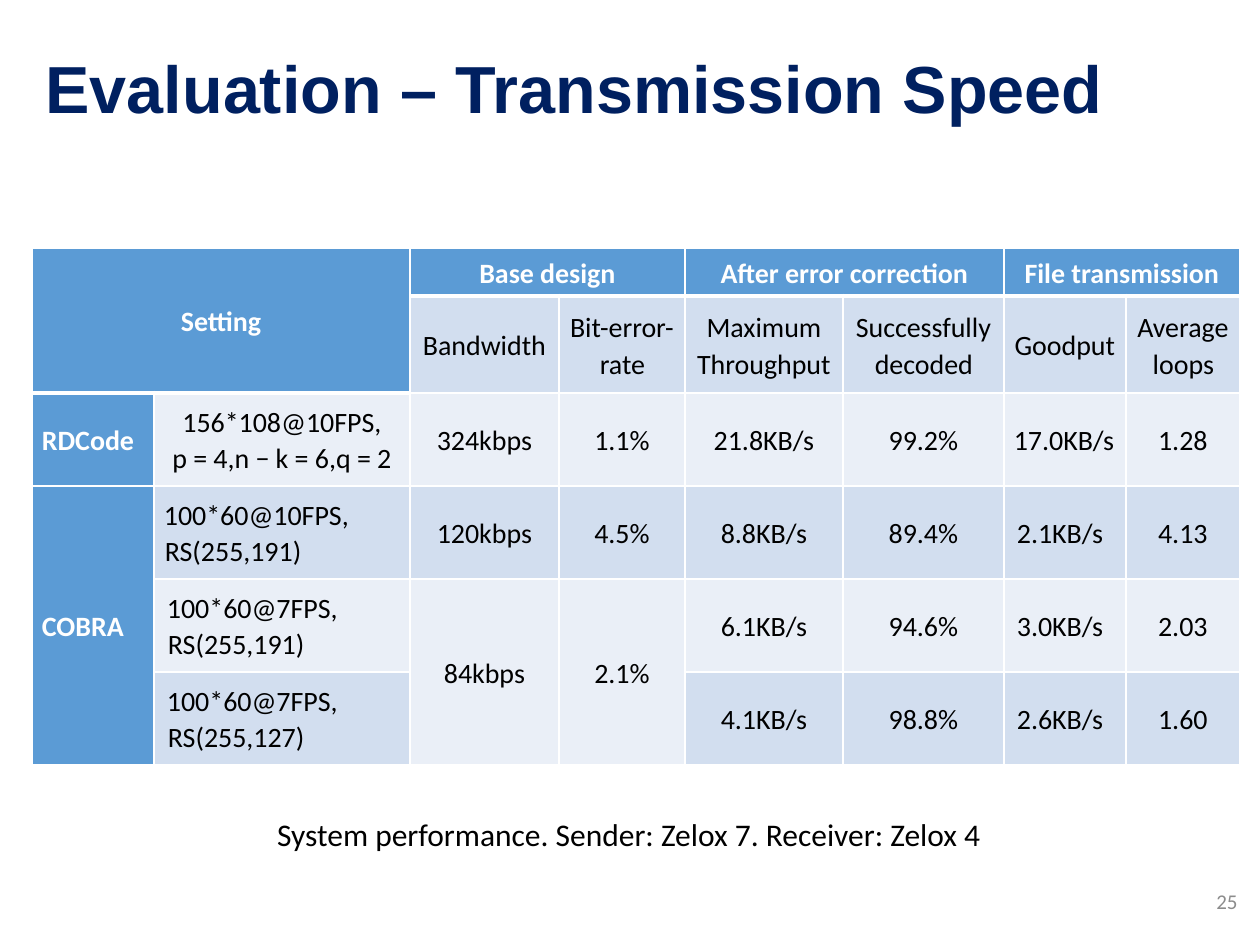
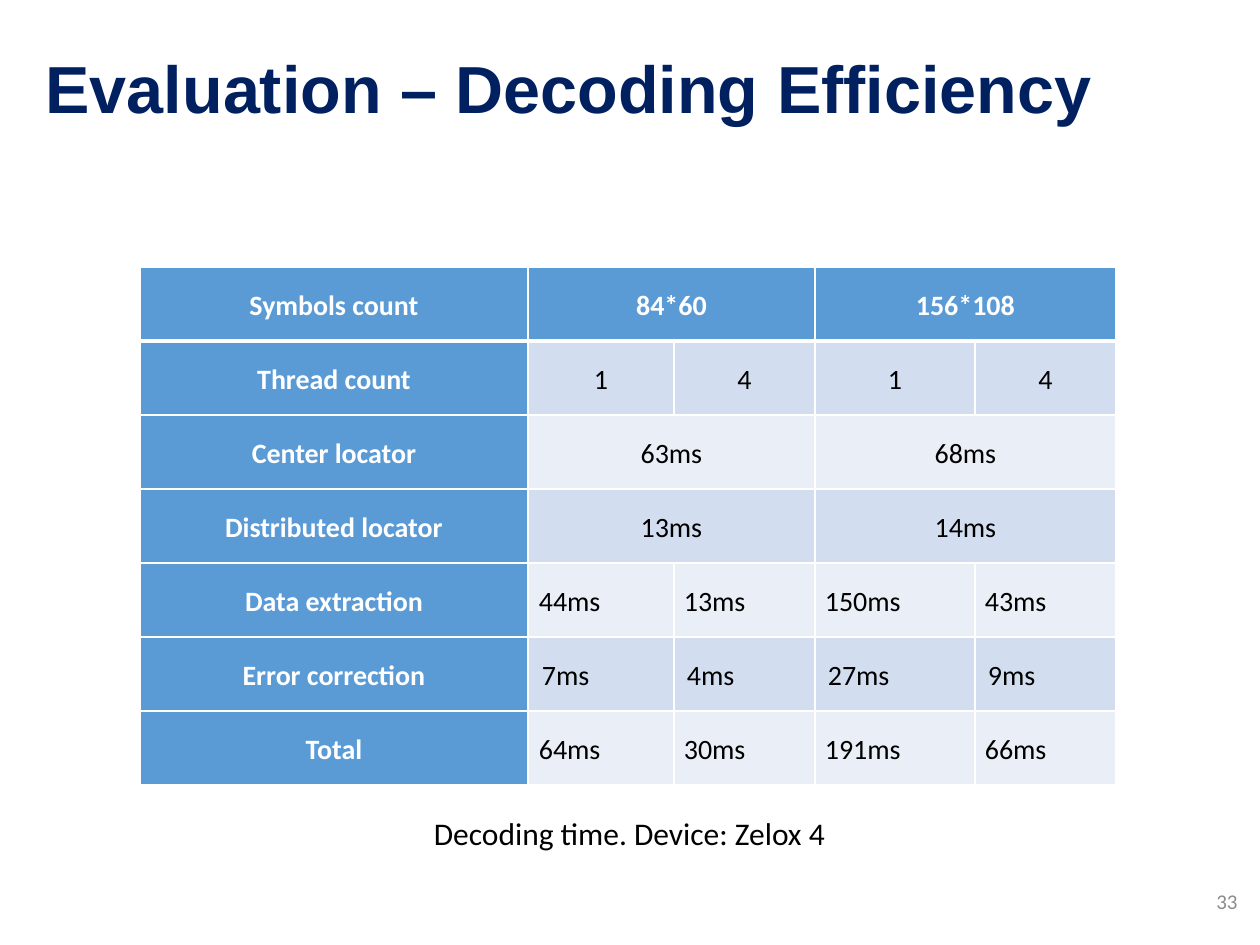
from lxml import etree
from pptx import Presentation
from pptx.dml.color import RGBColor
from pptx.enum.text import MSO_ANCHOR, PP_ALIGN
from pptx.oxml.ns import qn
from pptx.util import Emu, Pt

PX = 914400 / 126
LEFT, CENTER, RIGHT = PP_ALIGN.LEFT, PP_ALIGN.CENTER, PP_ALIGN.RIGHT
MIDDLE = MSO_ANCHOR.MIDDLE

WHITE = RGBColor(0xFF, 0xFF, 0xFF)
BLACK = RGBColor(0x00, 0x00, 0x00)
NAVY = RGBColor(0x00, 0x20, 0x60)
GRAY = RGBColor(0x8C, 0x8C, 0x8C)
HEADER_BLUE = RGBColor(0x5B, 0x9B, 0xD5)
BANDS = (RGBColor(0xEA, 0xEF, 0xF7), RGBColor(0xD2, 0xDE, 0xEF))

TITLE_BOX = (33, 15, 1188, 155)
NUMBER_BOX = (966, 876, 284, 50)
TITLE_ONLY = 5
THIN, THICK = Pt(1), Pt(3)

SPEED_ROWS = [
    ["Setting", "", "Base design", "", "After error correction", "", "File transmission", ""],
    ["", "", "Bandwidth", "Bit-error-rate", "Maximum\nThroughput",
     "Successfully decoded", "Goodput", "Average loops"],
    ["RDCode", "156*108@10FPS,\np = 4,n − k = 6,q = 2", "324kbps", "1.1%",
     "21.8KB/s", "99.2%", "17.0KB/s", "1.28"],
    ["COBRA", "100*60@10FPS, RS(255,191)", "120kbps", "4.5%",
     "8.8KB/s", "89.4%", "2.1KB/s", "4.13"],
    ["", "100*60@7FPS, RS(255,191)", "84kbps", "2.1%",
     "6.1KB/s", "94.6%", "3.0KB/s", "2.03"],
    ["", "100*60@7FPS, RS(255,127)", "", "",
     "4.1KB/s", "98.8%", "2.6KB/s", "1.60"],
]
SPEED_MERGES = [(0, 0, 1, 1), (0, 2, 0, 3), (0, 4, 0, 5), (0, 6, 0, 7),
                (3, 0, 5, 0), (4, 2, 5, 2), (4, 3, 5, 3)]
SPEED_INDENTS = {(2, 0): 1, (3, 0): 1, (3, 1): 1, (4, 1): 4, (5, 1): 4,
                 (2, 6): 1, (3, 6): 4, (4, 6): 4, (5, 6): 4}

DECODING_ROWS = [
    ["Symbols count", "84*60", "", "156*108", ""],
    ["Thread count", "1", "4", "1", "4"],
    ["Center locator", "63ms", "", "68ms", ""],
    ["Distributed locator", "13ms", "", "14ms", ""],
    ["Data extraction", "44ms", "13ms", "150ms", "43ms"],
    ["Error correction", "7ms", "4ms", "27ms", "9ms"],
    ["Total", "64ms", "30ms", "191ms", "66ms"],
]
DECODING_MERGES = [(row, column, row, column + 1) for row in (0, 2, 3) for column in (1, 3)]
DECODING_INDENTS = {(row, column): (4 if row == 5 else 1) + (column == 1)
                    for row in (4, 5, 6) for column in range(1, 5)}


def px(length):
    return Emu(round(length * PX))


def format_paragraph(paragraph, size, color, align, font="Calibri", bold=False, spacing=1.0):
    paragraph.alignment = align
    paragraph.line_spacing = spacing
    for run in paragraph.runs:
        run.font.name = font
        run.font.size = Pt(size)
        run.font.bold = bold
        run.font.color.rgb = color


def add_title(slide, text):
    title = slide.shapes.title
    title.left, title.top, title.width, title.height = map(px, TITLE_BOX)
    title.text_frame.text = text
    title.text_frame.vertical_anchor = MIDDLE
    format_paragraph(title.text_frame.paragraphs[0], 38, NAVY, LEFT, "Arial", True, 0.9)


def add_label(slide, box, text, size, color, align, wrap):
    frame = slide.shapes.add_textbox(*map(px, box)).text_frame
    frame.word_wrap = wrap
    frame.vertical_anchor = MIDDLE
    frame.text = text
    format_paragraph(frame.paragraphs[0], size, color, align)


def add_border(cell, side, width):
    line = etree.SubElement(cell._tc.get_or_add_tcPr(), qn(f"a:ln{side}"), w=str(width))
    fill = etree.SubElement(line, qn("a:solidFill"))
    etree.SubElement(fill, qn("a:srgbClr"), val=str(WHITE))


def style_cell(cell, row, column, header_depth, indent):
    """Format one cell; a cell with an indent is left-aligned, others are centred."""
    is_header = row == 0 or column == 0
    for side, is_thick in (("L", False), ("R", False),
                           ("T", row == header_depth), ("B", row == header_depth - 1)):
        add_border(cell, side, THICK if is_thick else THIN)
    cell.fill.solid()
    cell.fill.fore_color.rgb = HEADER_BLUE if is_header else BANDS[row % 2]
    cell.vertical_anchor = MIDDLE
    cell.margin_left = cell.margin_right = px(10)
    cell.margin_top, cell.margin_bottom = px(1), 0
    for paragraph in cell.text_frame.paragraphs:
        properties = paragraph._p.get_or_add_pPr()
        properties.set("marL", str(px(indent or 1)))
        properties.set("indent", str(-px(1)))
        format_paragraph(paragraph, 16, WHITE if is_header else BLACK,
                         LEFT if indent else CENTER, bold=is_header, spacing=1.07)


def add_data_table(slide, left, top, widths, heights, rows, merges, indents):
    frame = slide.shapes.add_table(len(rows), len(widths), px(left), px(top),
                                   px(sum(widths)), px(sum(heights)))
    table = frame.table
    table.horz_banding = False
    for column, width in zip(table.columns, widths):
        column.width = px(width)
    for row, height in zip(table.rows, heights):
        row.height = px(height)
    for first_row, first_column, last_row, last_column in merges:
        table.cell(first_row, first_column).merge(table.cell(last_row, last_column))
    for row, texts in enumerate(rows):
        for column, text in enumerate(texts):
            cell = table.cell(row, column)
            if text:
                cell.text_frame.text = text
            style_cell(cell, row, column, table.cell(0, column).span_height,
                       indents.get((row, column)))


def add_table_slide(presentation, title, number, caption, caption_box, **table):
    slide = presentation.slides.add_slide(presentation.slide_layouts[TITLE_ONLY])
    add_title(slide, title)
    add_data_table(slide, **table)
    add_label(slide, caption_box, caption, 18, BLACK, CENTER, wrap=False)
    add_label(slide, NUMBER_BOX, number, 12, GRAY, RIGHT, wrap=True)


def main():
    presentation = Presentation()
    presentation.slide_width, presentation.slide_height = px(1260), px(945)
    add_table_slide(
        presentation, "Evaluation – Transmission Speed", "25",
        "System performance. Sender: Zelox 7. Receiver: Zelox 4", (248, 809, 762, 50),
        left=32, top=248, widths=[122, 256, 149, 126, 158, 161, 122, 114],
        heights=[48, 97] + [93] * 4,
        rows=SPEED_ROWS, merges=SPEED_MERGES, indents=SPEED_INDENTS)
    add_table_slide(
        presentation, "Evaluation – Decoding Efficiency", "33",
        "Decoding time. Device: Zelox 4", (413, 808, 433, 50),
        left=140, top=267, widths=[388, 146, 141, 160, 141], heights=[74] * 7,
        rows=DECODING_ROWS, merges=DECODING_MERGES, indents=DECODING_INDENTS)
    presentation.save("out.pptx")


if __name__ == "__main__":
    main()
